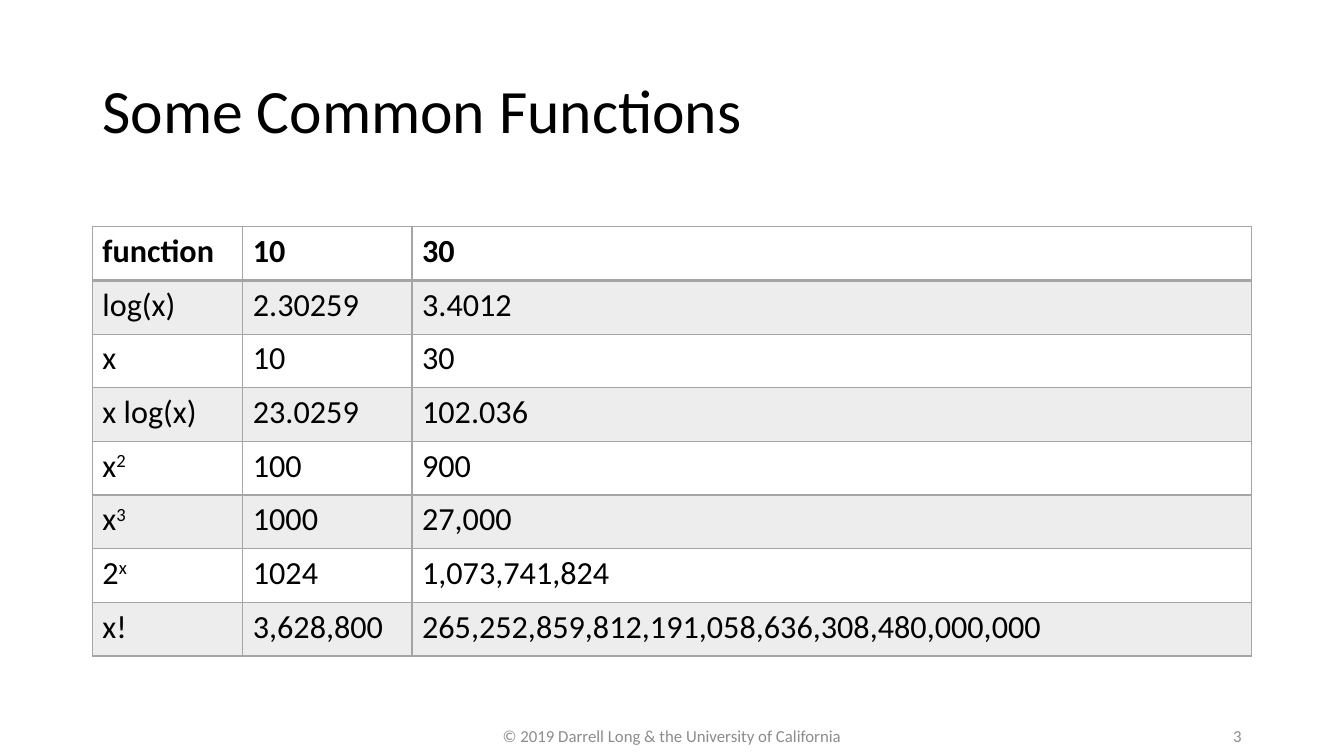
from dataclasses import dataclass

from lxml import etree
from pptx import Presentation
from pptx import util as u
from pptx.dml.color import RGBColor
from pptx.enum import text
from pptx.oxml.ns import qn


@dataclass(frozen=True)
class Theme:
    font: str = "Calibri"
    ink: str = "000000"
    muted: str = "8C8C8C"
    paper: str = "FFFFFF"
    rule: str = "A5A5A5"
    band_alpha: int = 20
    title: int = 44
    body: int = 23
    footer: int = 12
    thin: int = 1
    thick: int = 2


class Deck:
    COLS, ROWS = 160, 150

    def __init__(self, prs, theme):
        self.prs, self.theme = prs, theme
        self.s = prs.slides.add_slide(prs.slide_layouts[6])

    def x(self, cols):
        return round(self.prs.slide_width * cols / self.COLS)

    def y(self, rows):
        return round(self.prs.slide_height * rows / self.ROWS)

    def style(self, p, size, color, bold=False):
        p.font.name = self.theme.font
        p.font.size = u.Pt(size)
        p.font.bold = bold
        p.font.color.rgb = RGBColor.from_string(color)

    def label(self, words, box, size, color, align=text.PP_ALIGN.LEFT, spacing=1.0):
        left, top, width, height = box
        sp = self.s.shapes.add_textbox(self.x(left), self.y(top), self.x(width), self.y(height))
        tf = sp.text_frame
        tf.word_wrap = True
        tf.vertical_anchor = text.MSO_ANCHOR.MIDDLE
        p = tf.paragraphs[0]
        p.text = words
        p.alignment = align
        p.line_spacing = spacing
        self.style(p, size, color)

    def border(self, cell, side, width):
        tc_pr = cell._tc.get_or_add_tcPr()
        ln = etree.SubElement(tc_pr, qn(f"a:ln{side}"), w=str(u.Pt(width)))
        fill = etree.SubElement(ln, qn("a:solidFill"))
        etree.SubElement(fill, qn("a:srgbClr"), val=self.theme.rule)

    def shade(self, cell, banded):
        cell.fill.solid()
        cell.fill.fore_color.rgb = RGBColor.from_string(self.theme.rule if banded else self.theme.paper)
        if banded:
            color = cell._tc.tcPr.find(qn("a:solidFill")).find(qn("a:srgbClr"))
            etree.SubElement(color, qn("a:alpha"), val=str(self.theme.band_alpha * 1000))

    def entry(self, cell, words, bold):
        p = cell.text_frame.paragraphs[0]
        base, _, power = words.partition("^")
        p.add_run().text = base
        if power:
            r = p.add_run()
            r.text = power
            r._r.get_or_add_rPr().set("baseline", "30000")
        self.style(p, self.theme.body, self.theme.ink, bold)

    def table(self, rows, left, top, widths, row_height):
        frame = self.s.shapes.add_table(
            len(rows), len(widths), self.x(left), self.y(top),
            self.x(sum(widths)), self.y(row_height * len(rows)))
        tbl = frame.table
        tbl.first_row = tbl.horz_banding = False
        for column, width in zip(tbl.columns, widths):
            column.width = self.x(width)
        for i, row in enumerate(rows):
            tbl.rows[i].height = self.y(row_height)
            edges = {side: self.theme.thin for side in "LRTB"}
            if i < 2:
                edges["BT"[i]] = self.theme.thick
            for j, words in enumerate(row):
                cell = tbl.cell(i, j)
                for side, width in edges.items():
                    self.border(cell, side, width)
                self.shade(cell, i % 2 == 1)
                self.entry(cell, words, i == 0)


FUNCTIONS = [
    ("function", "10", "30"),
    ("log(x)", "2.30259", "3.4012"),
    ("x", "10", "30"),
    ("x log(x)", "23.0259", "102.036"),
    ("x^2", "100", "900"),
    ("x^3", "1000", "27,000"),
    ("2^x", "1024", "1,073,741,824"),
    ("x!", "3,628,800", "265,252,859,812,191,058,636,308,480,000,000"),
]


def main():
    prs = Presentation()
    prs.slide_width, prs.slide_height = u.Inches(13.33), u.Inches(7.5)
    theme = Theme()
    deck = Deck(prs, theme)
    deck.label("Some Common Functions", (11, 8, 138, 29), theme.title, theme.ink, spacing=0.9)
    deck.table(FUNCTIONS, 11, 45, (17.9, 20.15, 99.95), 10.65)
    deck.label("© 2019 Darrell Long & the University of California", (53, 142, 54, 8),
               theme.footer, theme.muted, text.PP_ALIGN.CENTER)
    deck.label("3", (113, 142, 36, 8), theme.footer, theme.muted, text.PP_ALIGN.RIGHT)
    prs.save("out.pptx")


if __name__ == "__main__":
    main()
